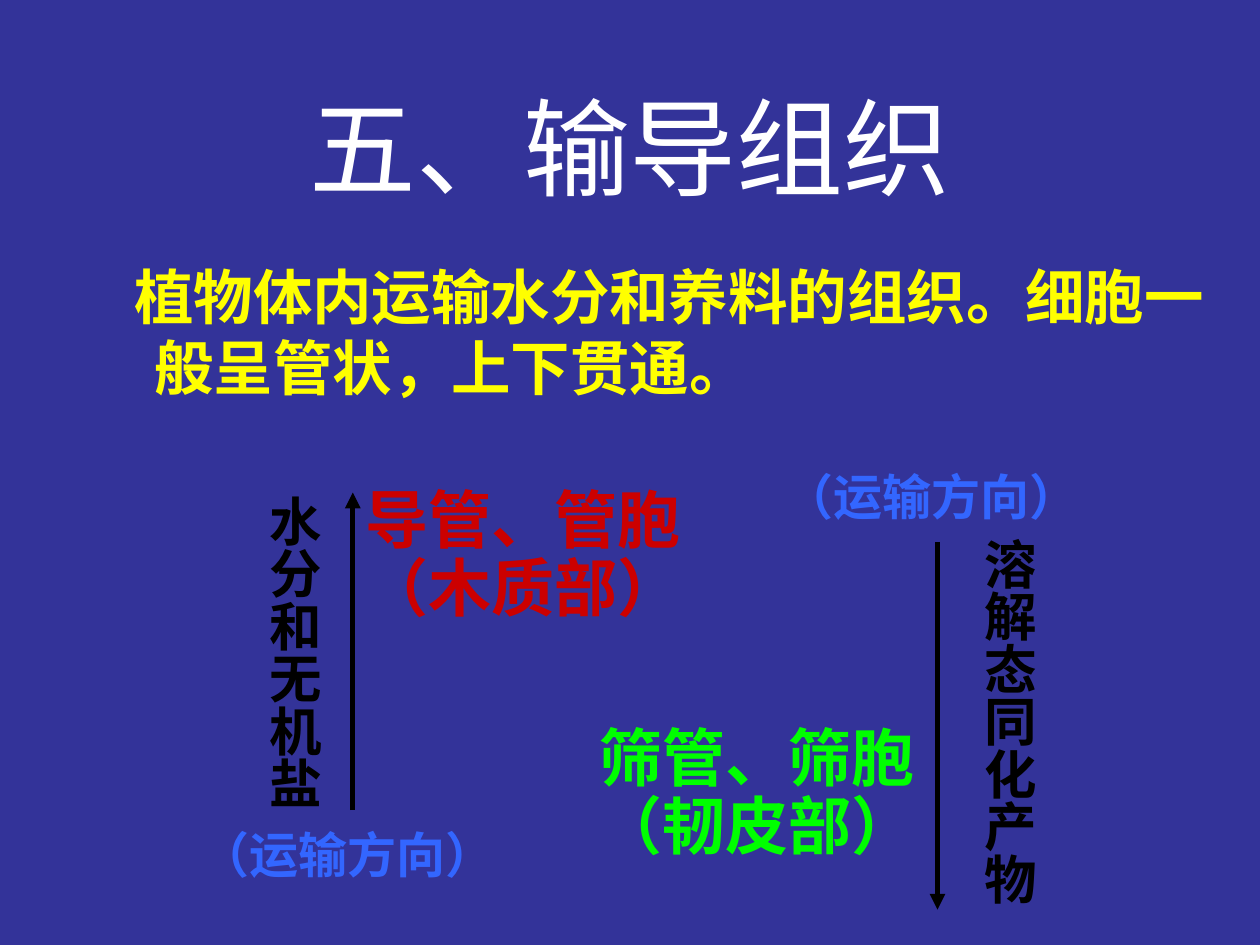
from pptx import Presentation
from pptx.dml.color import RGBColor
from pptx.enum.shapes import MSO_CONNECTOR
from pptx.enum.text import MSO_ANCHOR, MSO_AUTO_SIZE, PP_ALIGN
from pptx.oxml.ns import qn
from pptx.util import Pt
from lxml.etree import SubElement

COLORS = {"back": "333399", "title": "FFFFFF", "body": "FFFF00", "dark": "000000",
          "xylem": "CC0000", "phloem": "00FF00", "way": "3366FF"}


def place(shape, left, top, width, height):
    shape.left, shape.top = Pt(left), Pt(top)
    shape.width, shape.height = Pt(width), Pt(height)


def style(shape, text, size, color, bold, align, anchor, wrap, space=1):
    frame = shape.text_frame
    frame.text = text
    frame.word_wrap = wrap
    frame.auto_size = MSO_AUTO_SIZE.NONE
    frame.vertical_anchor = anchor
    for para in frame.paragraphs:
        para.alignment = align
        para.line_spacing = space
        para.space_before = Pt(0)
        for run in para.runs:
            run.font.name = "Arial"
            run.font.size = Pt(size)
            run.font.bold = bold
            run.font.color.rgb = RGBColor.from_string(COLORS[color])


deck = Presentation()
deck.slide_width, deck.slide_height = Pt(720), Pt(540)
slide = deck.slides.add_slide(deck.slide_layouts[1])
slide.background.fill.solid()
slide.background.fill.fore_color.rgb = RGBColor.from_string(COLORS["back"])

# Title
title = slide.shapes.title
place(title, 54, 26, 612, 115)
style(title, "五、输导组织", 61, "title", False, PP_ALIGN.CENTER, MSO_ANCHOR.MIDDLE, True)

# Definition, with a hanging second line and no bullet
body = slide.placeholders[1]
place(body, 54, 144.7, 646.6, 91.4)
body.text_frame.text = ""
style(body, "植物体内运输水分和养料的组织。细胞一般呈管状，上下贯通。", 34, "body",
      True, PP_ALIGN.LEFT, MSO_ANCHOR.TOP, True)
props = body.text_frame.paragraphs[0]._p.get_or_add_pPr()
props.set("marL", str(Pt(27)))
props.set("indent", str(Pt(-11.5)))
SubElement(props, qn("a:buNone"))

# Vertical labels: what is carried
for text, left, top, width, height in [
    ("水分和无机盐", 127.4, 275.8, 67.7, 193),
    ("溶解态同化产物", 541.4, 300.2, 61.9, 224.6),
]:
    label = slide.shapes.add_textbox(Pt(left), Pt(top), Pt(width), Pt(height))
    style(label, text, 30, "dark", True, PP_ALIGN.CENTER, MSO_ANCHOR.TOP, False, 1.15)
    frame = label.text_frame
    frame.margin_left = frame.margin_right = Pt(3.6)
    frame.margin_top = frame.margin_bottom = Pt(7.2)
    frame._txBody.bodyPr.set("vert", "eaVert")

# Arrows: up for water, down for products
for x, start, end in [(201.6, 463, 281.5), (535.7, 309.6, 519.8)]:
    arrow = slide.shapes.add_connector(
        MSO_CONNECTOR.STRAIGHT, Pt(x), Pt(start), Pt(x), Pt(end))
    arrow.line.width = Pt(3)
    arrow.line.color.rgb = RGBColor.from_string(COLORS["dark"])
    SubElement(arrow.line._get_or_add_ln(), qn("a:tailEnd"), type="triangle")
    SubElement(arrow._element.spPr, qn("a:effectLst"))

# Tissue names
for text, left, top, color, align in [
    ("导管、管胞\n（木质部）", 201.6, 281.5, "xylem", PP_ALIGN.LEFT),
    ("筛管、筛胞\n（韧皮部）", 354.2, 417.6, "phloem", PP_ALIGN.RIGHT),
]:
    name = slide.shapes.add_textbox(Pt(left), Pt(top), Pt(175.7), Pt(73.4))
    style(name, text, 36, color, True, align, MSO_ANCHOR.MIDDLE, False, 0.9)

# Direction captions
for left, top in [(139, 468.7), (473, 264.2)]:
    note = slide.shapes.add_textbox(Pt(left), Pt(top), Pt(118.8), Pt(39.6))
    style(note, "（运输方向）", 28, "way", True, PP_ALIGN.CENTER, MSO_ANCHOR.BOTTOM,
          False, 1.15)

deck.save("out.pptx")
